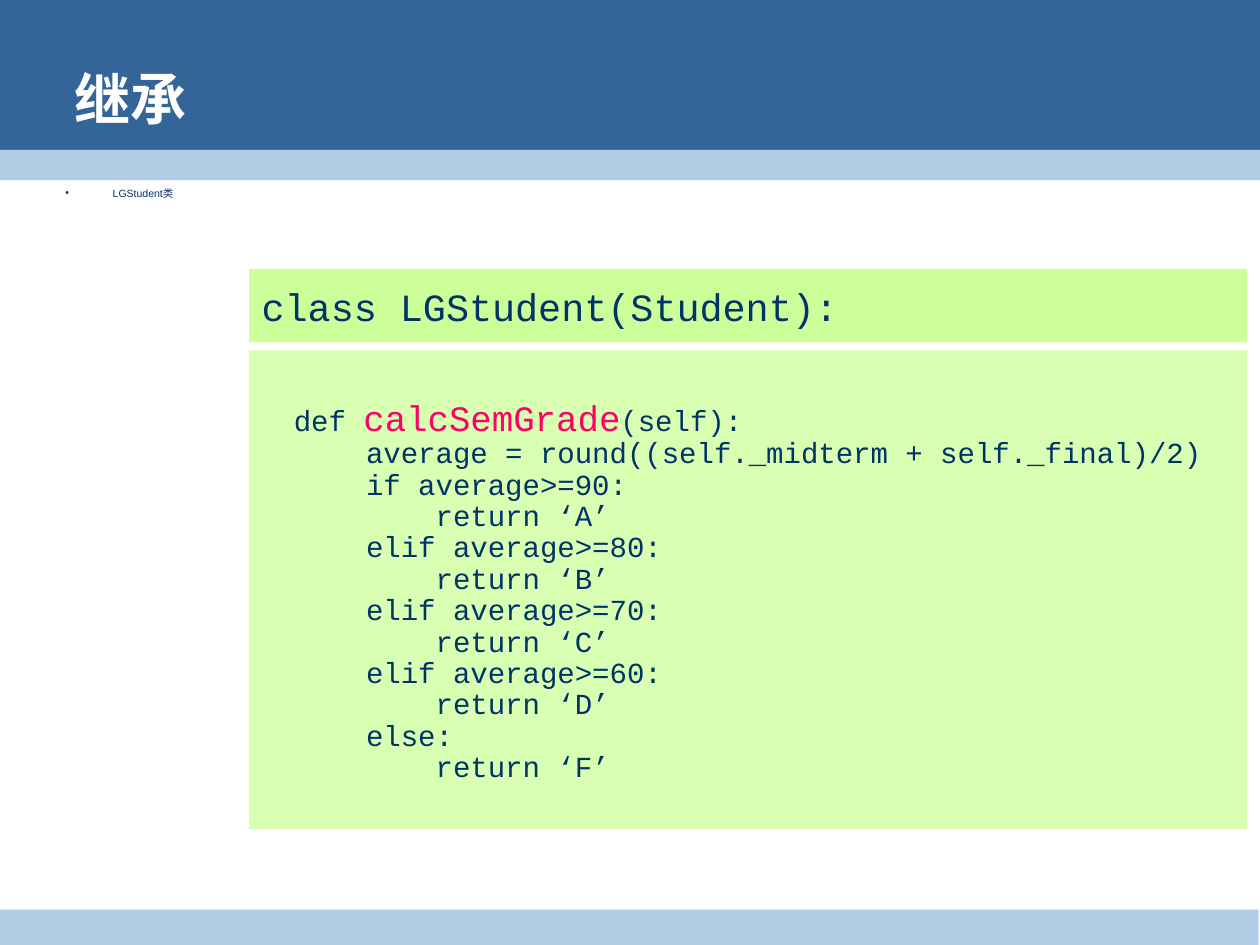
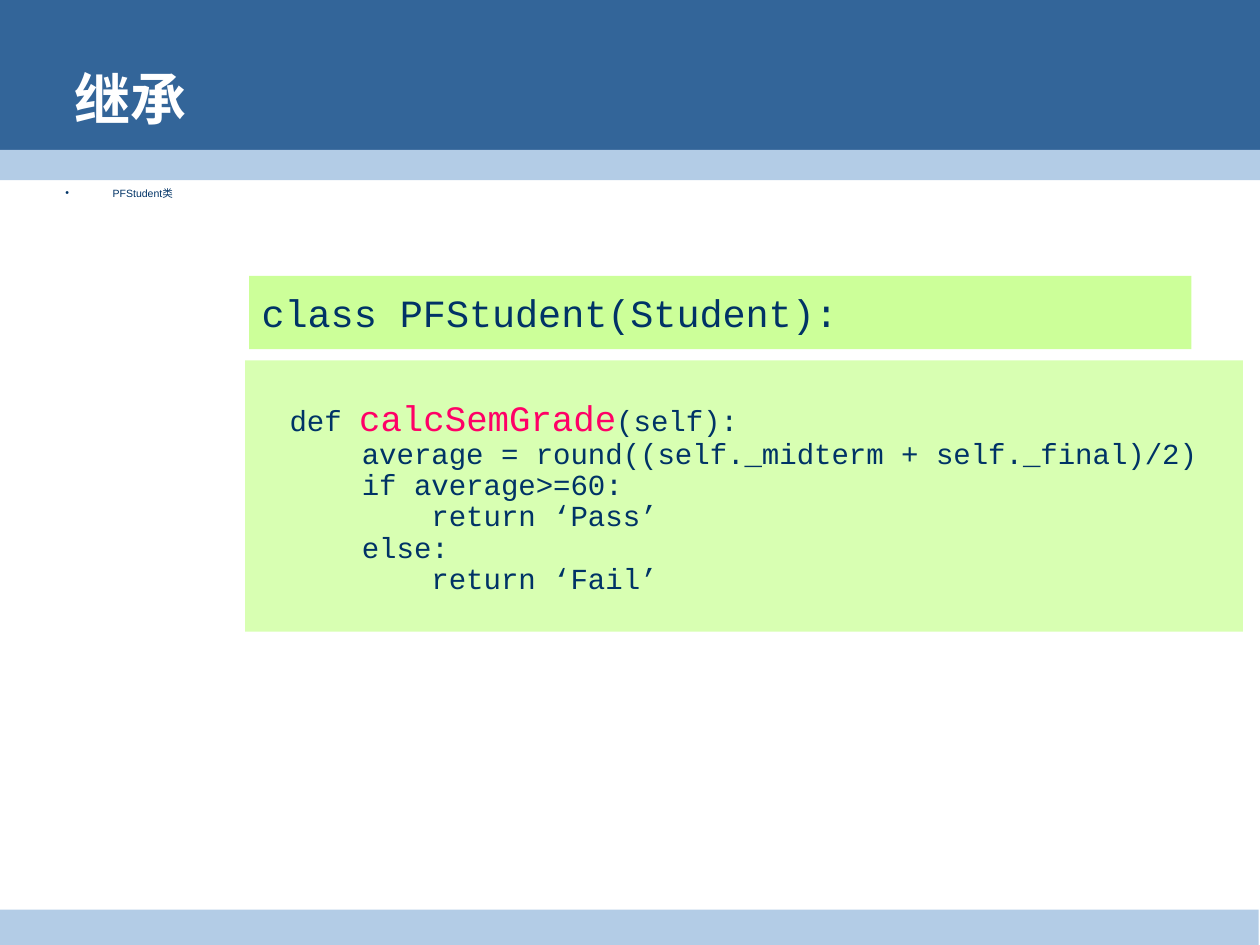
"""Build two slides on class inheritance, each with a class header and its method."""
from lxml.etree import SubElement
from pptx import Presentation
from pptx.dml.color import RGBColor
from pptx.enum.shapes import MSO_SHAPE
from pptx.enum.text import MSO_ANCHOR, MSO_AUTO_SIZE, PP_ALIGN
from pptx.oxml.ns import qn
from pptx.util import Pt

NAVY, BLUE, PALE_BLUE = "003366", "336599", "B3CCE6"
GREEN, PINK, WHITE = "CCFF99", "FF0066", "FFFFFF"
BODY_FONT, CODE_FONT = "Arial", "Courier New"
CODE_SIZE, METHOD_SIZE = 16.6, 20.4

HEADING = "继承"
METHOD = "calcSemGrade"
AVERAGE = "      average = round((self._midterm + self._final)/2)"
BANDS = [
    ((0, 0, 720, 94.3), BLUE),
    ((0, 85.7, 720, 17.2), PALE_BLUE),
    ((0, 519.8, 719.3, 21.6), PALE_BLUE),
]
TITLE_BOX = (28.8, 35.3, 652.3, 41.8)
TOPIC_BOX = (30.2, 103, 682.6, 419.8)

LESSONS = [
    {
        "topic": "LGStudent类",
        "header": "class LGStudent(Student):",
        "header_box": (142.4, 153.8, 570.2, 41.8),
        "grades": [("if average>=90:", "A"), ("elif average>=80:", "B"),
                   ("elif average>=70:", "C"), ("elif average>=60:", "D"),
                   ("else:", "F")],
        "method_box": (142.4, 200.2, 570.2, 273.8),
    },
    {
        "topic": "PFStudent类",
        "header": "class PFStudent(Student):",
        "header_box": (142.4, 157.7, 538.4, 41.8),
        "grades": [("if average>=60:", "Pass"), ("else:", "Fail")],
        "method_box": (140, 206, 570.2, 155),
    },
]


def color(value):
    """Turn a hex string into a colour."""
    return RGBColor.from_string(value)


def write(paragraph, text, size=CODE_SIZE, font=CODE_FONT, ink=NAVY, bold=False,
          align=PP_ALIGN.LEFT, spacing=None):
    """Add a formatted run to a paragraph."""
    paragraph.alignment = align
    if spacing:
        paragraph.line_spacing = spacing
    run = paragraph.add_run()
    run.text = text
    run.font.size, run.font.name, run.font.bold = Pt(size), font, bold
    run.font.color.rgb = color(ink)


def place(holder, box):
    """Move and size a placeholder."""
    holder.left, holder.top, holder.width, holder.height = map(Pt, box)


def add_panel(slide, box, fill, opacity=100):
    """Add a plain rectangle, ready for left-aligned code."""
    panel = slide.shapes.add_shape(MSO_SHAPE.RECTANGLE, *map(Pt, box))
    panel.shadow.inherit = False
    panel.line.fill.background()
    panel.fill.solid()
    panel.fill.fore_color.rgb = color(fill)
    if opacity < 100:
        tint = panel.element.spPr.find(".//" + qn("a:srgbClr"))
        SubElement(tint, qn("a:alpha"), val=str(opacity * 1000))
    panel.text_frame.word_wrap = True
    panel.text_frame.vertical_anchor = MSO_ANCHOR.MIDDLE
    return panel


def prepare_layout(layout, slide):
    """Put the shared bands behind the layout's title and body."""
    for holder in list(layout.placeholders):
        if holder.placeholder_format.idx > 1:
            layout.shapes.element.remove(holder.element)
    for position, (box, fill) in enumerate(BANDS, start=2):
        layout.shapes.element.insert(position, add_panel(slide, box, fill).element)


def add_method(slide, box, grades):
    """Add the panel that shows the grading method."""
    frame = add_panel(slide, box, GREEN, opacity=75).text_frame
    signature = frame.paragraphs[0]
    write(signature, "    ", font=BODY_FONT)
    write(signature, "def ")
    write(signature, METHOD, size=METHOD_SIZE, ink=PINK)
    write(signature, "(self):")
    code = [AVERAGE]
    for condition, grade in grades:
        code += [" " * 6 + condition, " " * 10 + f"return ‘{grade}’"]
    for line in code:
        write(frame.add_paragraph(), line, spacing=0.9)


def fill_lesson(slide, lesson):
    """Fill one slide with its title, topic and code."""
    title, topic = slide.shapes.title, slide.placeholders[1]
    place(title, TITLE_BOX)
    title.text_frame.margin_left = Pt(14)
    title.text_frame.vertical_anchor = MSO_ANCHOR.MIDDLE
    write(title.text_frame.paragraphs[0], HEADING, size=32, font=BODY_FONT,
          ink=WHITE, bold=True)
    place(topic, TOPIC_BOX)
    bullet = topic.text_frame.paragraphs[0]
    bullet.space_before = Pt(0)
    write(bullet, lesson["topic"], size=6, font=BODY_FONT)
    for holder in (title, topic):
        holder.text_frame.auto_size = MSO_AUTO_SIZE.NONE
    header = add_panel(slide, lesson["header_box"], GREEN)
    write(header.text_frame.paragraphs[0], lesson["header"], size=22)
    add_method(slide, lesson["method_box"], lesson["grades"])


def main():
    """Build and save the slides."""
    deck = Presentation()
    deck.slide_width, deck.slide_height = Pt(720), Pt(540)
    layout = deck.slide_layouts[1]
    slides = [deck.slides.add_slide(layout) for _ in LESSONS]
    prepare_layout(layout, slides[0])
    for slide, lesson in zip(slides, LESSONS):
        fill_lesson(slide, lesson)
    deck.save("out.pptx")


if __name__ == "__main__":
    main()
